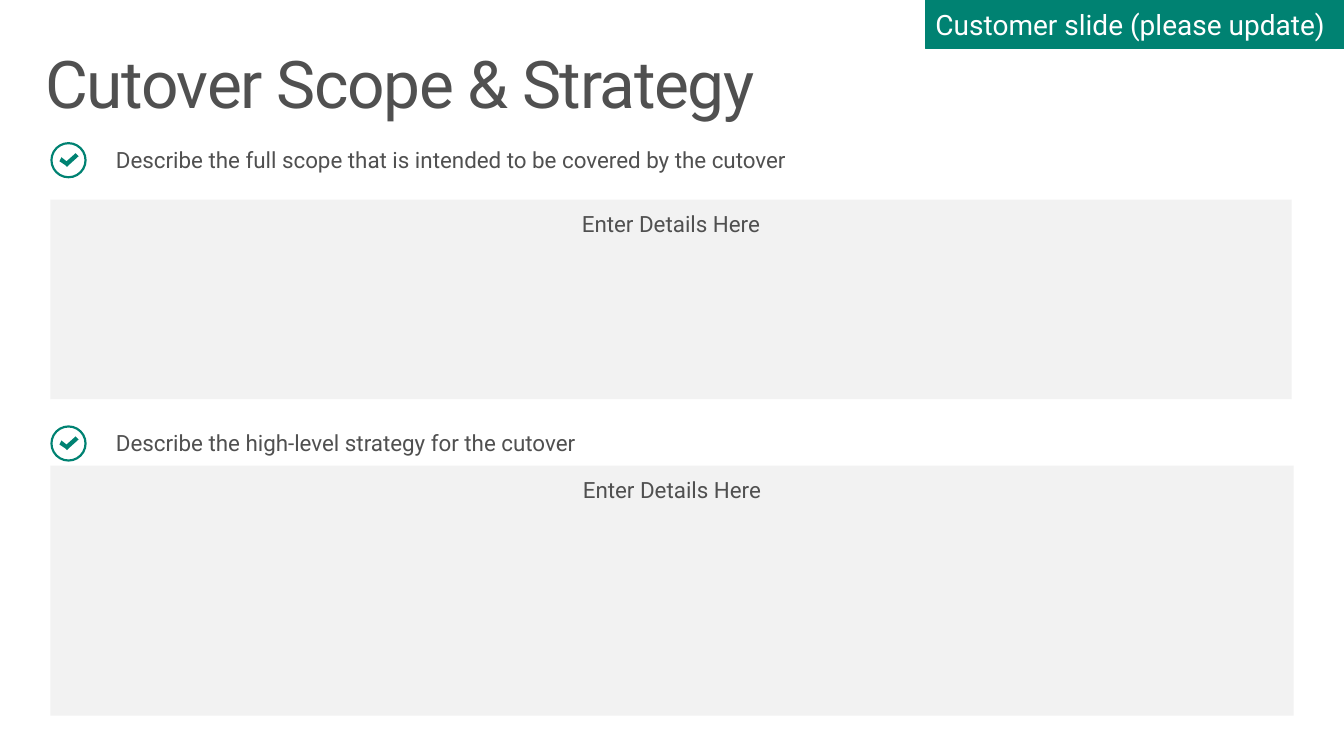
"""Build the Cutover Scope & Strategy slide."""
import pptx
import pptx.dml.color
import pptx.enum.shapes
import pptx.enum.text
import pptx.util

Inches = pptx.util.Inches
RGBColor = pptx.dml.color.RGBColor
Shapes = pptx.enum.shapes.MSO_SHAPE
Anchor = pptx.enum.text.MSO_ANCHOR
Align = pptx.enum.text.PP_ALIGN

GREEN = RGBColor(0x00, 0x82, 0x72)
DARK_GRAY = RGBColor(0x50, 0x50, 0x50)
LIGHT_GRAY = RGBColor(0xF2, 0xF2, 0xF2)
WHITE = RGBColor(0xFF, 0xFF, 0xFF)

CHECK_POINTS = [(7, 8), (2, 4), (0, 8), (6, 12), (7.5, 13.5), (9, 12), (19, 3)]


def write(shape, text, size, color, align, anchor, insets):
    frame = shape.text_frame
    frame.word_wrap = True
    frame.auto_size = pptx.enum.text.MSO_AUTO_SIZE.NONE
    frame.vertical_anchor = anchor
    frame.margin_left, frame.margin_top, frame.margin_right, frame.margin_bottom = map(Inches, insets)
    paragraph = frame.paragraphs[0]
    paragraph.text = text
    paragraph.alignment = align
    paragraph.font.name = "Roboto"
    paragraph.font.size = pptx.util.Pt(size)
    paragraph.font.color.rgb = color
    return paragraph


def paint(shape, color):
    shape.shadow.inherit = False
    shape.fill.solid()
    shape.fill.fore_color.rgb = color
    shape.line.fill.background()


presentation = pptx.Presentation()
presentation.slide_width = Inches(13.33)
presentation.slide_height = Inches(7.5)
slide = presentation.slides.add_slide(presentation.slide_layouts[5])

title = slide.shapes.title
title.left, title.top, title.width, title.height = map(Inches, (0.29, 0.41, 12.75, 0.98))
paragraph = write(title, "Cutover Scope & Strategy", 47, DARK_GRAY, Align.LEFT, Anchor.TOP,
                  (0.16, 0.1, 0.16, 0.1))
paragraph.line_spacing = 0.9
paragraph.runs[0].font._element.set("spc", "-100")

sections = [
    ("Describe the full scope that is intended to be covered by the cutover", 1.3, 1.98, 12.31, 1.98),
    ("Describe the high-level strategy for the cutover", 4.11, 4.62, 12.33, 2.48),
]
for heading, top, box_top, box_width, box_height in sections:
    label = slide.shapes.add_textbox(Inches(0.55), Inches(top), Inches(12.28), Inches(0.57))
    write(label, heading, 16, DARK_GRAY, Align.LEFT, Anchor.MIDDLE, (0.6, 0.05, 0.1, 0.05))

    ring = slide.shapes.add_shape(Shapes.DONUT, Inches(0.5), Inches(top + 0.11), Inches(0.36), Inches(0.36))
    ring.adjustments[0] = 0.06
    paint(ring, GREEN)

    builder = slide.shapes.build_freeform(160, 0, scale=Inches(0.001))
    builder.add_line_segments([(x * 10, y * 10) for x, y in CHECK_POINTS])
    check = builder.convert_to_shape(Inches(0.59), Inches(top + 0.22))
    paint(check, GREEN)

    box = slide.shapes.add_shape(Shapes.RECTANGLE, Inches(0.5), Inches(box_top),
                                 Inches(box_width), Inches(box_height))
    paint(box, LIGHT_GRAY)
    write(box, "Enter Details Here", 16, DARK_GRAY, Align.CENTER, Anchor.TOP, (0.1, 0.1, 0.1, 0.05))

banner = slide.shapes.add_shape(Shapes.RECTANGLE, Inches(9.18), 0, Inches(4.16), Inches(0.48))
paint(banner, GREEN)
banner.line.color.rgb = GREEN
banner.line.width = pptx.util.Pt(0.25)
write(banner, "Customer slide (please update)", 20, WHITE, Align.LEFT, Anchor.MIDDLE, (0.1, 0.05, 0.1, 0.05))

presentation.save("out.pptx")
